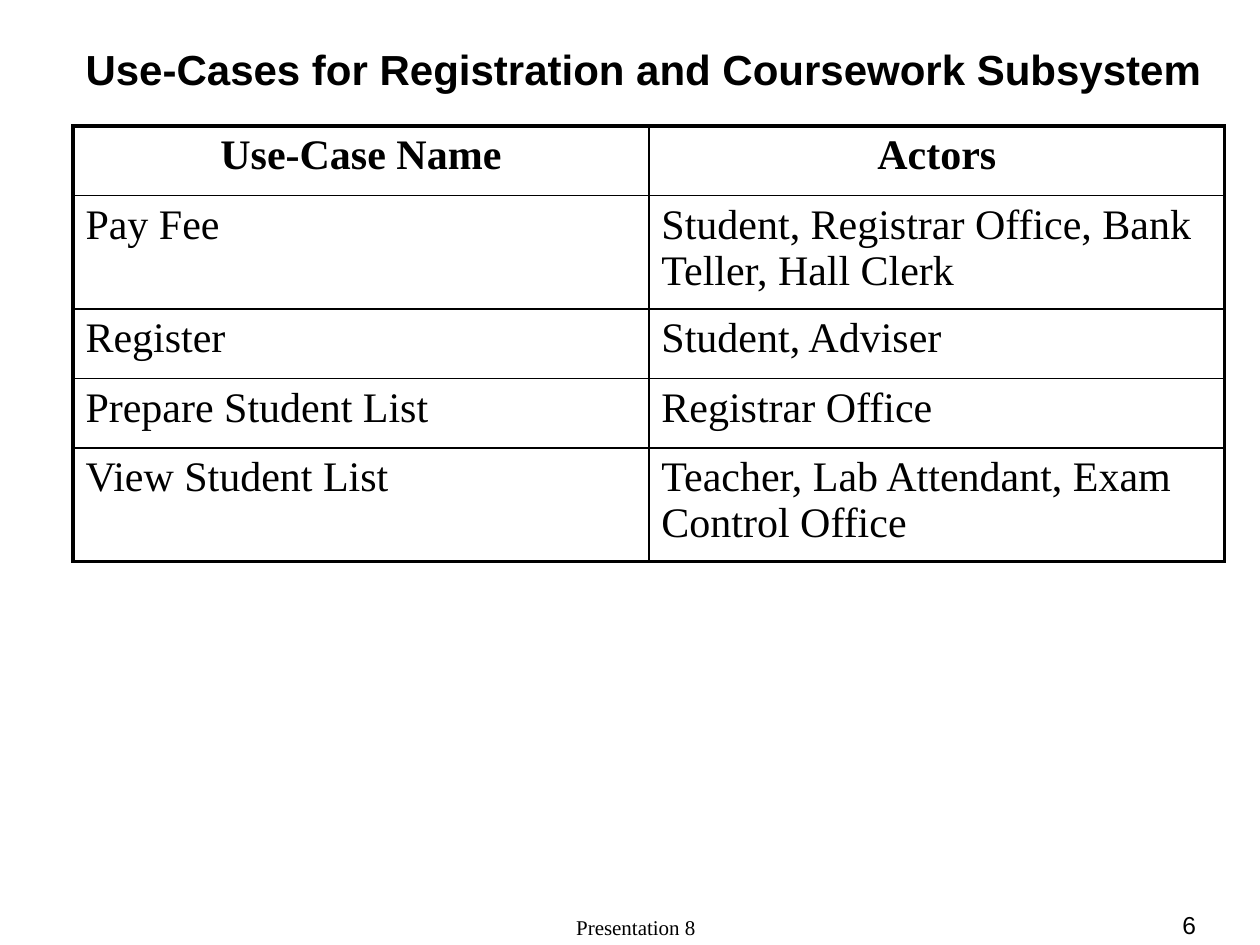
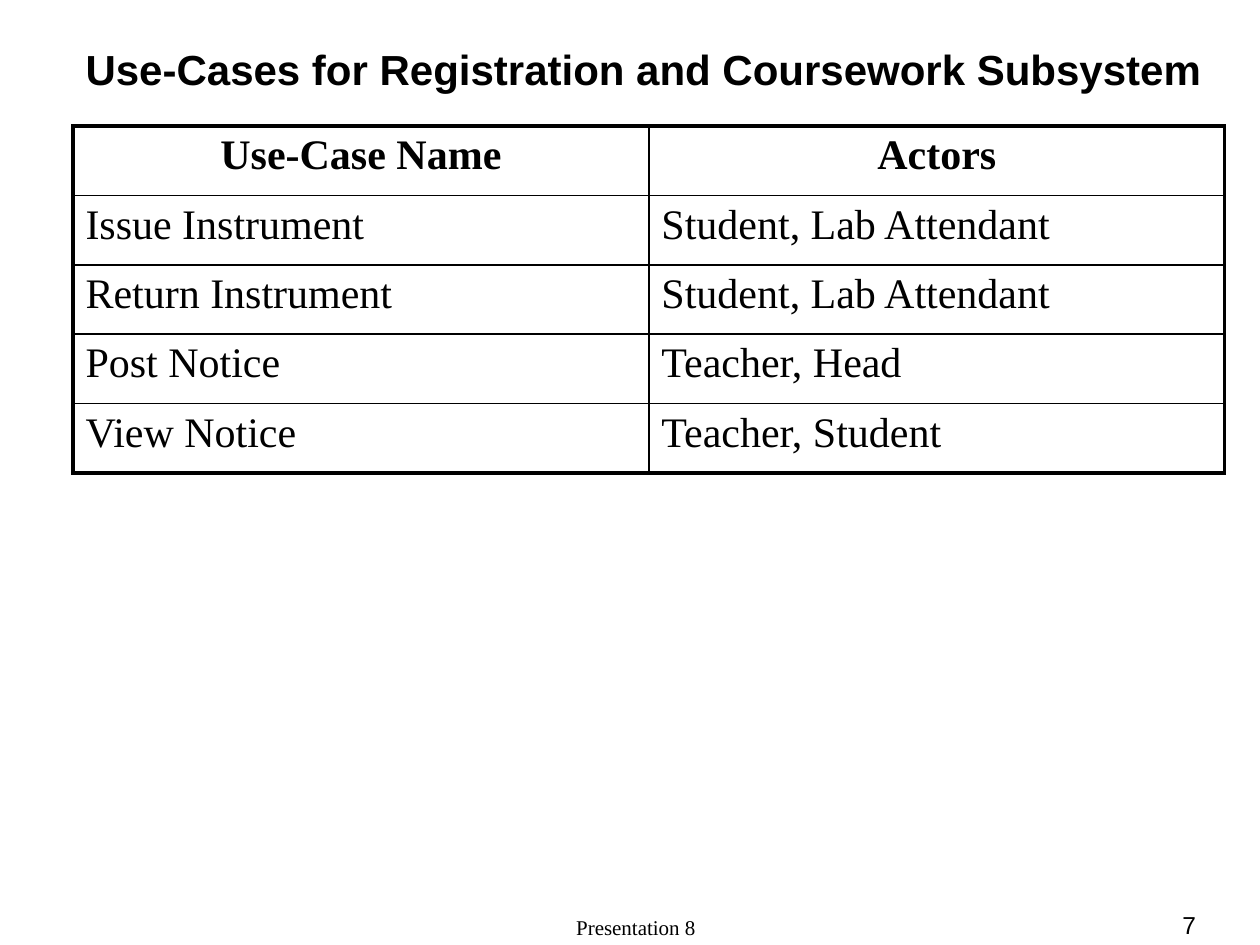
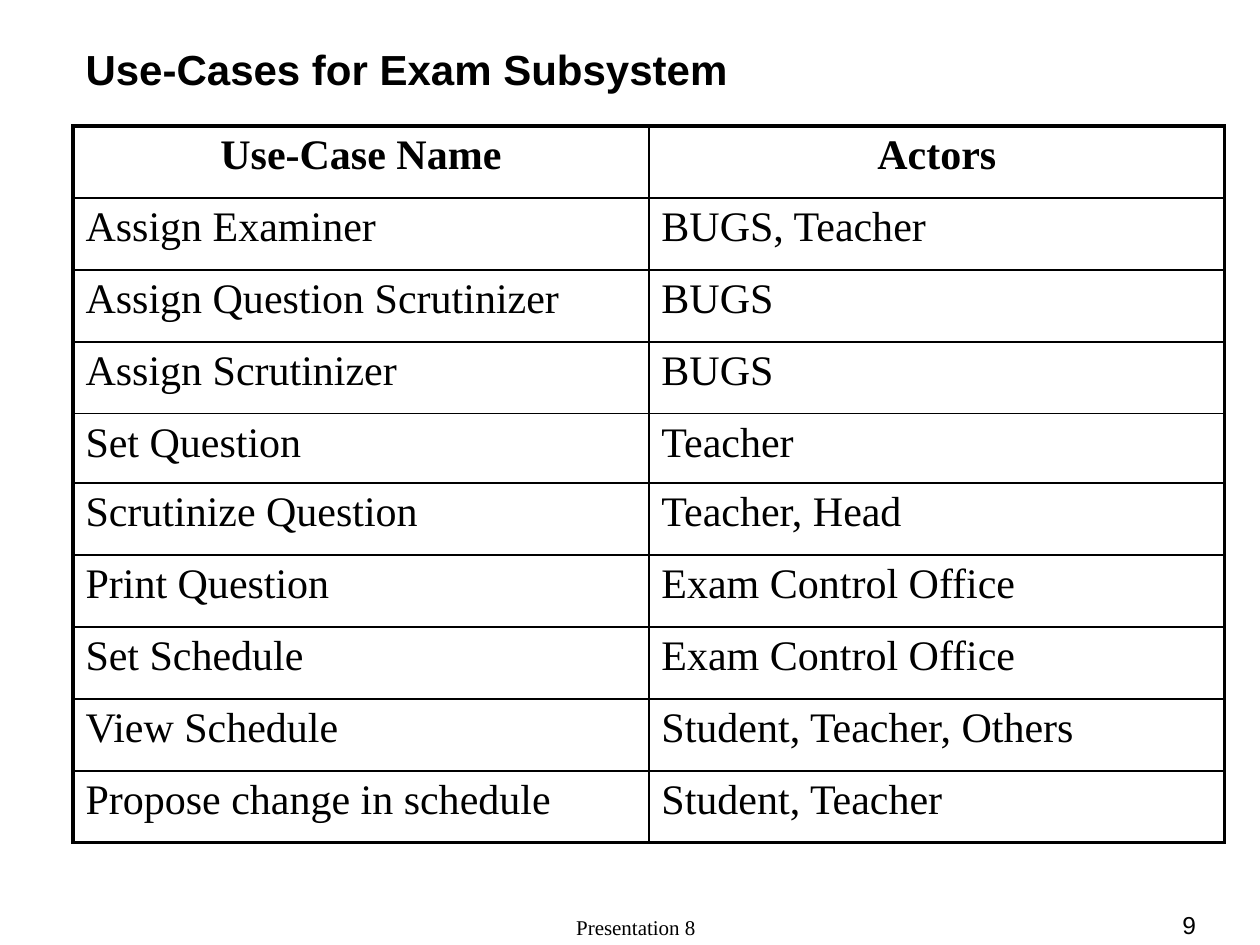
from dataclasses import dataclass

from lxml.etree import SubElement
from pptx import Presentation
from pptx.dml.color import RGBColor
from pptx.enum.text import MSO_ANCHOR, MSO_AUTO_SIZE, PP_ALIGN
from pptx.oxml.ns import qn
from pptx.util import Cm, Pt

HEADINGS = ("Use-Case Name", "Actors")
FOOTER = "Presentation 8"
COURSEWORK = "Use-Cases for Registration and Coursework Subsystem"
STANDARD, ROOMY, DOUBLE = 1.4, 1.45, 2.29

PAGES = [
    {
        "number": 6,
        "title": COURSEWORK,
        "row_height": STANDARD,
        "special_heights": {"Pay Fee": DOUBLE, "View Student List": DOUBLE},
        "use_cases": [
            ("Pay Fee", "Student, Registrar Office, Bank Teller, Hall Clerk"),
            ("Register", "Student, Adviser"),
            ("Prepare Student List", "Registrar Office"),
            ("View Student List", "Teacher, Lab Attendant, Exam Control Office"),
        ],
    },
    {
        "number": 7,
        "title": COURSEWORK,
        "row_height": STANDARD,
        "special_heights": {},
        "use_cases": [
            ("Issue Instrument", "Student, Lab Attendant"),
            ("Return Instrument", "Student, Lab Attendant"),
            ("Post Notice", "Teacher, Head"),
            ("View Notice", "Teacher, Student"),
        ],
    },
    {
        "number": 9,
        "title": "Use-Cases for Exam Subsystem",
        "row_height": ROOMY,
        "special_heights": {"Set Question": STANDARD},
        "use_cases": [
            ("Assign Examiner", "BUGS, Teacher"),
            ("Assign Question Scrutinizer", "BUGS"),
            ("Assign Scrutinizer", "BUGS"),
            ("Set Question", "Teacher"),
            ("Scrutinize Question", "Teacher, Head"),
            ("Print Question", "Exam Control Office"),
            ("Set Schedule", "Exam Control Office"),
            ("View Schedule", "Student, Teacher, Others"),
            ("Propose change in schedule", "Student, Teacher"),
        ],
    },
]


@dataclass(frozen=True)
class Theme:
    ink: str = "000000"
    sans: str = "Arial"
    serif: str = "Times New Roman"
    main_size: float = 24
    number_size: float = 14
    footer_size: float = 12
    outer_line: float = 2.25
    inner_line: float = 1
    left: float = 1.47
    column_width: float = 11.61


THEME = Theme()


def write(frame, text, font=THEME.serif, size=THEME.main_size, bold=False,
          align=PP_ALIGN.LEFT):
    para = frame.paragraphs[0]
    para.alignment = align
    span = para.add_run()
    span.text = text
    span.font.name = font
    span.font.size = Pt(size)
    span.font.bold = bold
    span.font.color.rgb = RGBColor.from_string(THEME.ink)


def add_title(page, text):
    title = page.shapes.title
    title.left, title.top = Cm(THEME.left), Cm(0.64)
    title.width, title.height = Cm(23.93), Cm(1.47)
    frame = title.text_frame
    frame.auto_size = MSO_AUTO_SIZE.NONE
    frame.vertical_anchor = MSO_ANCHOR.MIDDLE
    write(frame, text, font=THEME.sans, bold=True)


def add_footer_box(page, text, left, width, **text_format):
    box = page.shapes.add_textbox(Cm(left), Cm(18.42), Cm(width), Cm(0.64))
    frame = box.text_frame
    frame.word_wrap = True
    frame.vertical_anchor = MSO_ANCHOR.BOTTOM
    write(frame, text, **text_format)


def set_borders(cell, outer_sides):
    properties = cell._tc.get_or_add_tcPr()
    for side in "LRTB":
        width = THEME.outer_line if side in outer_sides else THEME.inner_line
        line = SubElement(properties, qn(f"a:ln{side}"), w=str(Pt(width)))
        fill = SubElement(line, qn("a:solidFill"))
        SubElement(fill, qn("a:srgbClr"), val=THEME.ink)


def add_use_case_table(page, use_cases, row_height, special_heights):
    rows = [HEADINGS, *use_cases]
    heights = [Cm(special_heights.get(name, row_height)) for name, _ in rows]
    column_width = Cm(THEME.column_width)
    table = page.shapes.add_table(
        len(rows), len(HEADINGS), Cm(THEME.left), Cm(2.54),
        column_width * len(HEADINGS), sum(heights),
    ).table
    table.first_row = table.horz_banding = False
    for column in table.columns:
        column.width = column_width
    for row_index, (values, height) in enumerate(zip(rows, heights)):
        table.rows[row_index].height = height
        heading = row_index == 0
        vertical_sides = "T" if heading else "B" if row_index == len(rows) - 1 else ""
        for column_index, text in enumerate(values):
            cell = table.cell(row_index, column_index)
            set_borders(cell, vertical_sides + "LR"[column_index])
            cell.fill.background()
            write(cell.text_frame, text, bold=heading,
                  align=PP_ALIGN.CENTER if heading else PP_ALIGN.LEFT)


def main():
    deck = Presentation()
    deck.slide_width, deck.slide_height = Cm(25.4), Cm(19.05)
    for content in PAGES:
        page = deck.slides.add_slide(deck.slide_layouts.get_by_name("Title Only"))
        add_footer_box(page, FOOTER, 8.69, 8.26,
                       size=THEME.footer_size, align=PP_ALIGN.CENTER)
        add_footer_box(page, str(content["number"]), 21.39, 2.97, font=THEME.sans,
                       size=THEME.number_size, align=PP_ALIGN.RIGHT)
        add_title(page, content["title"])
        add_use_case_table(page, content["use_cases"], content["row_height"],
                           content["special_heights"])
    deck.save("out.pptx")


if __name__ == "__main__":
    main()
